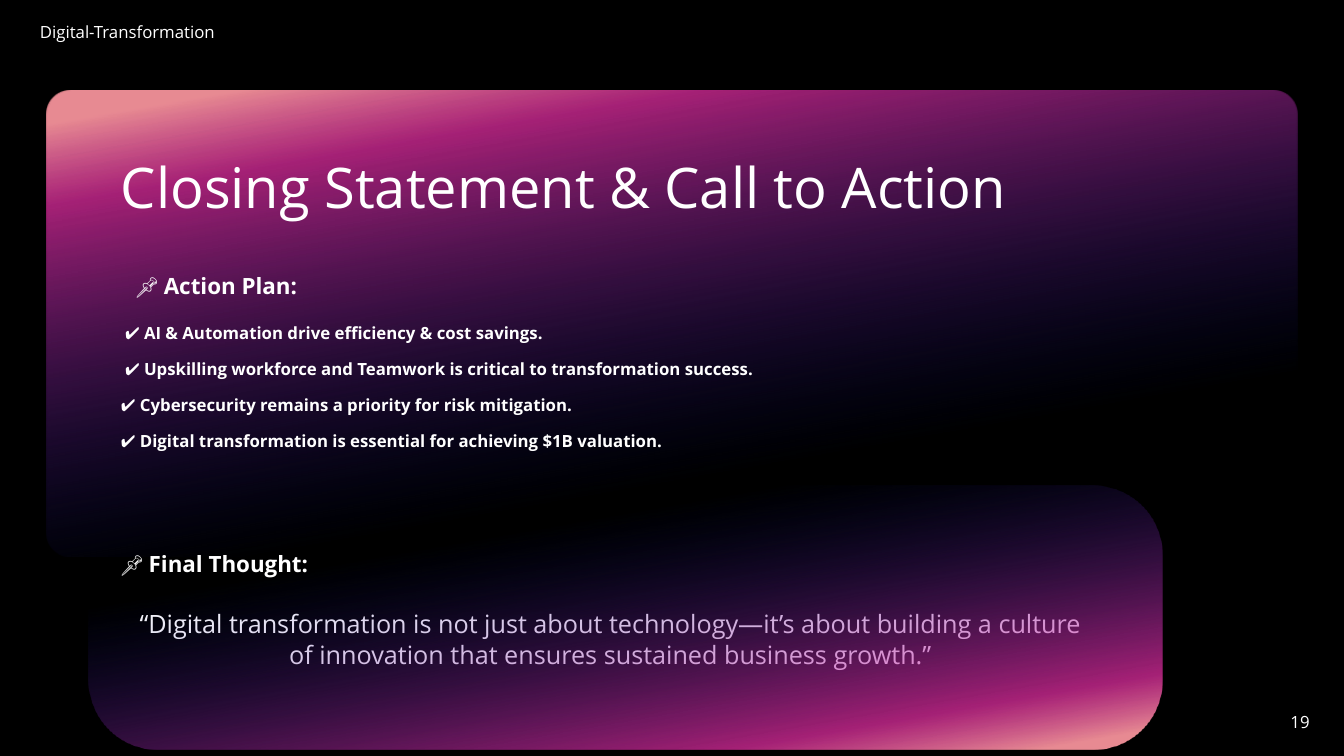
import pptx
import pptx.util
import pptx.dml.color
import pptx.enum.shapes
import pptx.enum.text
import pptx.oxml
import pptx.oxml.ns

Inches, Pt = pptx.util.Inches, pptx.util.Pt
Align = pptx.enum.text.PP_ALIGN
FONT, WHITE = "Open Sans", "FFFFFF"


def rgb(code):
    return pptx.dml.color.RGBColor.from_string(code)


def write(para, text, size, bold=False):
    run = para.add_run()
    run.text = text
    run.font.name = FONT
    run.font.size = Pt(size)
    run.font.bold = bold
    run.font.color.rgb = rgb(WHITE)


# Slide with a black background
deck = pptx.Presentation()
deck.slide_width, deck.slide_height = Inches(13.33), Inches(7.5)
slide = deck.slides.add_slide(deck.slide_layouts[1])
slide.background.fill.solid()
slide.background.fill.fore_color.rgb = rgb("000000")
shapes = slide.shapes
title, plan = shapes.title, slide.placeholders[1]

# Header, page number and quote, which lie behind the panels
quote = ("“Digital transformation is not just about technology—it’s about "
         "building a culture of innovation that ensures sustained business growth.”")
for text, size, *area in [
    ("Digital-Transformation", 12, 0.13, 0.17, 2.27, 0.3),
    ("19", 12, 12.63, 7.01, 0.53, 0.3),
    (quote, 18, 1.14, 5.99, 9.83, 0.71),
]:
    frame = shapes.add_textbox(*map(Inches, area)).text_frame
    frame.word_wrap = True
    frame.paragraphs[0].alignment = Align.CENTER
    write(frame.paragraphs[0], text, size)

# Panels share one glow: position, colour and opacity in percent
glow = [(27, "0C1A9C", 0), (83, "ED2FA9", 69), (95, "FF99A2", 90)]
stops = "".join(
    f'<a:gs pos="{pos * 1000}"><a:srgbClr val="{code}">'
    f'<a:alpha val="{alpha * 1000}"/></a:srgbClr></a:gs>'
    for pos, code, alpha in glow)
grad = (f'<a:gradFill {pptx.oxml.ns.nsdecls("a")} rotWithShape="1">'
        f'<a:gsLst>{stops}</a:gsLst>'
        f'<a:lin ang="{80 * 60000}" scaled="0"/></a:gradFill>')
for turn, curve, *area in [
    (180, 0.052, 0.46, 0.9, 12.41, 4.62),
    (0, 0.264, 0.88, 4.82, 10.65, 2.62),
]:
    panel = shapes.add_shape(
        pptx.enum.shapes.MSO_SHAPE.ROUNDED_RECTANGLE, *map(Inches, area))
    panel.adjustments[0] = curve
    panel.rotation = turn
    panel.shadow.inherit = False
    panel.line.fill.background()
    geom = panel._element.spPr.find(pptx.oxml.ns.qn("a:prstGeom"))
    geom.addnext(pptx.oxml.parse_xml(grad))

# Section headings
for text, *area in [
    ("📌 Action Plan:", 1.25, 2.6, 2.04, 0.4),
    ("📌 Final Thought:", 1.1, 5.36, 3.4, 0.4),
]:
    frame = shapes.add_textbox(*map(Inches, area)).text_frame
    frame.word_wrap = True
    frame.paragraphs[0].line_spacing = 1.2
    write(frame.paragraphs[0], text, 16, True)

# Title and checklist come in front of the panels
for holder, area in [
    (title, (1.1, 1.4, 9.7, 0.8)),
    (plan, (1.1, 3.11, 8.82, 1.49)),
]:
    holder.left, holder.top, holder.width, holder.height = map(Inches, area)
    frame = holder.text_frame
    frame.auto_size = pptx.enum.text.MSO_AUTO_SIZE.NONE
    frame.vertical_anchor = pptx.enum.text.MSO_ANCHOR.TOP
    shapes._spTree.append(holder._element)

head = title.text_frame.paragraphs[0]
head.alignment = Align.LEFT
head.line_spacing = 1.1
write(head, "Closing Statement & Call to Action", 40)

# Checklist: the first two lines sit slightly further in
for row, (text, inset) in enumerate([
    ("AI & Automation drive efficiency & cost savings.", 0.04),
    ("Upskilling workforce and Teamwork is critical to transformation success.", 0.04),
    ("Cybersecurity remains a priority for risk mitigation.", 0),
    ("Digital transformation is essential for achieving $1B valuation.", 0),
]):
    frame = plan.text_frame
    para = frame.add_paragraph() if row else frame.paragraphs[0]
    para.line_spacing = 1.2
    para.space_before = Pt(0)
    para.space_after = Pt(8.5)
    props = para._p.get_or_add_pPr()
    props.set("marL", str(Inches(inset)))
    props.set("indent", "0")
    props.append(pptx.oxml.parse_xml(f'<a:buNone {pptx.oxml.ns.nsdecls("a")}/>'))
    write(para, "✔ ", 12)
    write(para, text, 12, True)

deck.save("out.pptx")
